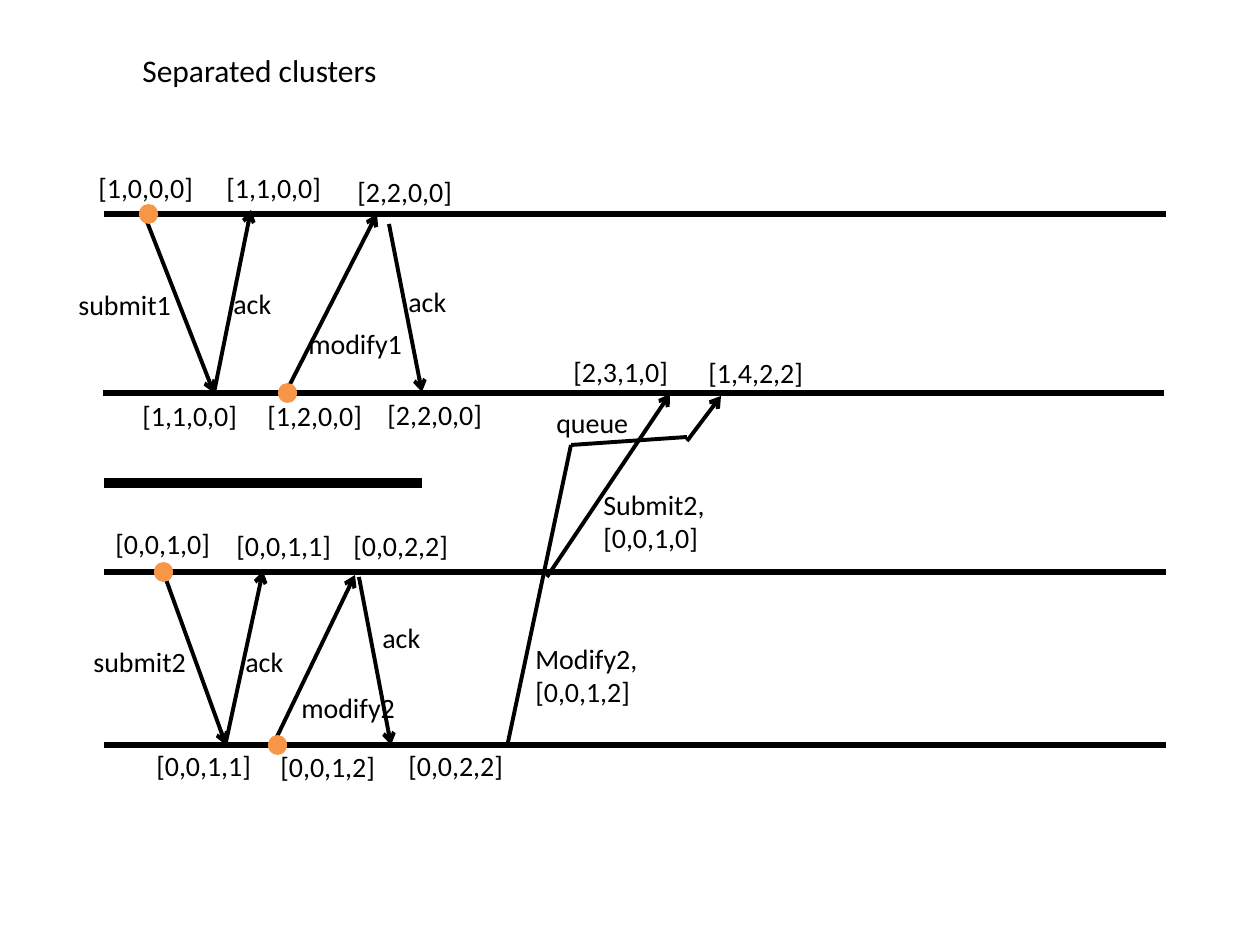
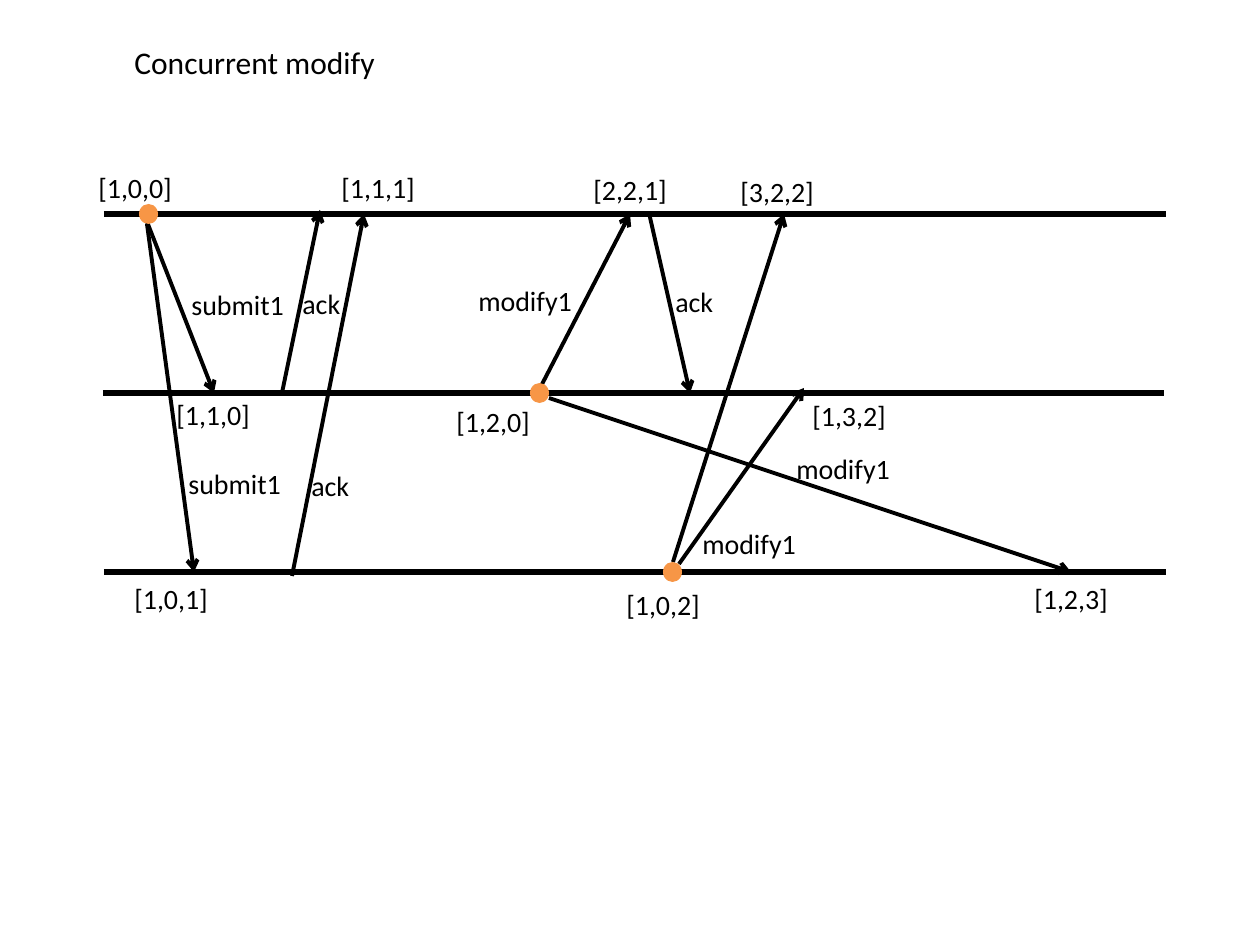
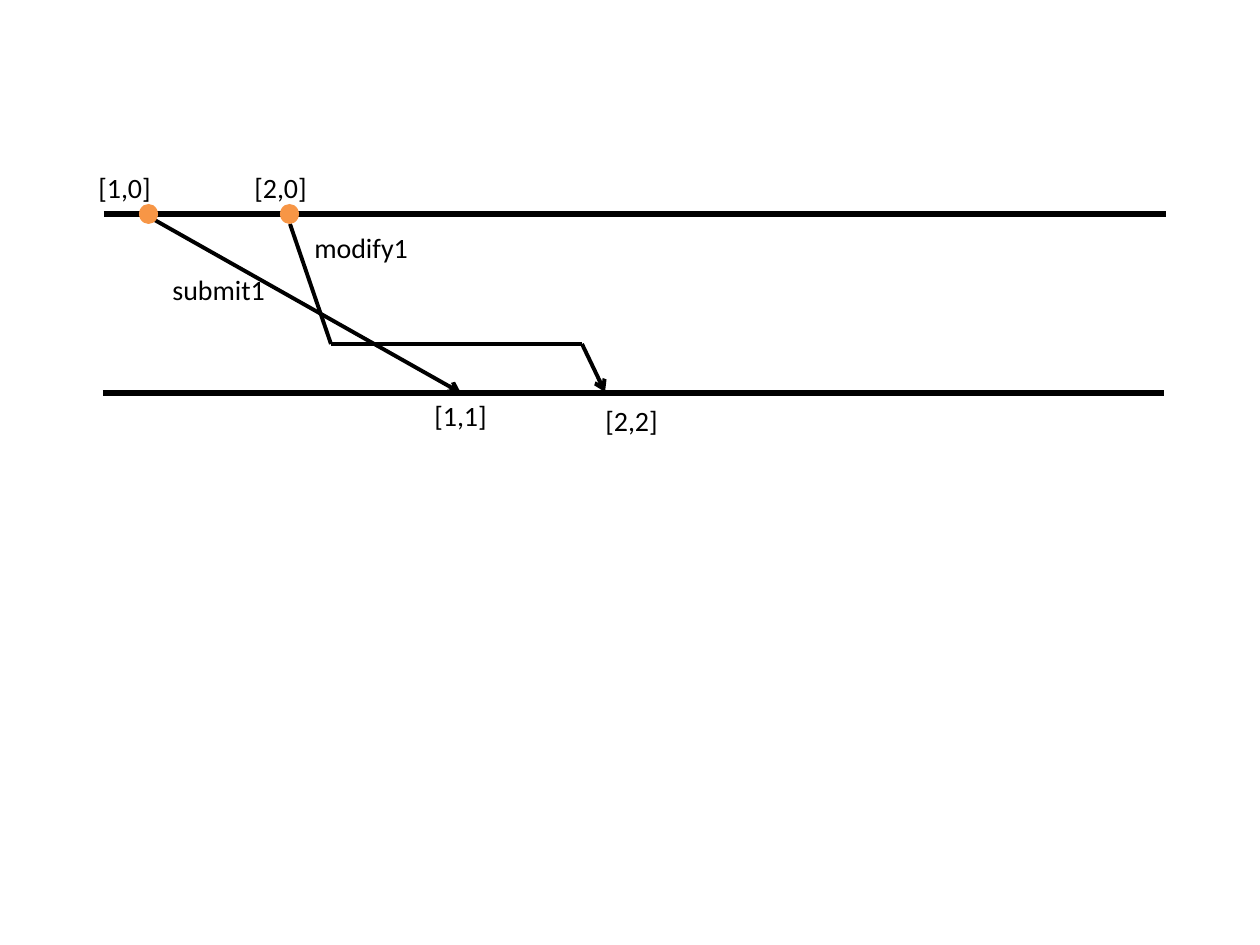
from dataclasses import dataclass

from lxml import etree
from pptx import Presentation
from pptx import util as u
from pptx.dml.color import RGBColor
from pptx.enum import shapes, text
from pptx.oxml.ns import qn

SCALE = 914400 / 126  # EMU in one pixel


@dataclass(frozen=True)
class Theme:
    font: str = "Calibri"
    ink: RGBColor = RGBColor(0x00, 0x00, 0x00)
    event: RGBColor = RGBColor(0xF7, 0x96, 0x46)
    title_size: float = 18
    label_size: float = 16
    lane_width: float = 3
    message_width: float = 2.25
    partition_width: float = 6


theme = Theme()

# Shared geometry: time lanes as left, right, height
LANES = [(104, 1166, 214), (103, 1164, 393), (104, 1166, 572), (104, 1166, 745)]
DOT_WIDTH, DOT_HEIGHT = 19, 20
CLOCK_WIDTH = 137
WORD_WIDTHS = {
    "ack": 129, "queue": 111, "submit1": 134, "submit2": 129,
    "modify1": 150, "modify2": 164,
    "Submit2,[0,0,1,0]": 129, "Modify2,\n[0,0,1,2]": 164,
}


def add_line(page, ends, width, arrow=False):
    line = page.shapes.add_connector(
        shapes.MSO_CONNECTOR.STRAIGHT, *[round(end * SCALE) for end in ends])
    line.line.color.rgb = theme.ink
    line.line.width = u.Pt(width)
    if arrow:
        etree.SubElement(line.line._get_or_add_ln(), qn("a:tailEnd"), type="arrow")
    etree.SubElement(line._element.spPr, qn("a:effectLst"))


def add_text(page, words, left, top, width, size):
    # About 2.1 pixels a point for each line, plus the insets
    height = 81 if len(words) > 12 and size == theme.label_size else 13 + 2.1 * size
    box = page.shapes.add_textbox(
        *[round(length * SCALE) for length in (left, top, width, height)])
    frame = box.text_frame
    frame.word_wrap = True
    frame.auto_size = text.MSO_AUTO_SIZE.SHAPE_TO_FIT_TEXT
    frame.text = words
    for para in frame.paragraphs:
        for span in para.runs:
            span.font.name = theme.font
            span.font.size = u.Pt(size)
            span.font.color.rgb = theme.ink


# Each diagram: messages and queue lines as x1, y1, x2, y2;
# events as left, lane; labels as words, left, top
DIAGRAMS = [
    {
        "title": ("Separated clusters", 130, 45, 455),
        "lanes": 4,
        "partition": (104, 483, 422, 483),
        "messages": [
            (144, 214, 214, 393), (214, 393, 251, 210),
            (286, 392, 377, 214), (389, 224, 422, 392),
            (163, 571, 226, 745), (226, 742, 263, 571),
            (273, 745, 355, 575), (359, 577, 391, 745),
            (547, 577, 670, 394), (687, 441, 721, 396),
        ],
        "queue": [(507, 747, 571, 445), (687, 437, 571, 445)],
        "events": [(139, 0), (278, 1), (154, 2), (268, 3)],
        "labels": [
            ("[1,0,0,0]", 86, 164), ("[1,1,0,0]", 214, 164), ("[2,2,0,0]", 345, 168),
            ("submit1", 66, 281), ("ack", 221, 280),
            ("modify1", 296, 320), ("ack", 396, 278),
            ("[1,1,0,0]", 130, 392), ("[1,2,0,0]", 255, 392), ("[2,2,0,0]", 375, 391),
            ("[2,3,1,0]", 561, 348), ("[1,4,2,2]", 696, 349),
            ("queue", 544, 399), ("Submit2,[0,0,1,0]", 591, 481),
            ("[0,0,1,0]", 103, 520), ("[0,0,1,1]", 224, 522), ("[0,0,2,2]", 341, 522),
            ("submit2", 81, 638), ("ack", 233, 638),
            ("modify2", 289, 684), ("ack", 370, 614),
            ("Modify2,\n[0,0,1,2]", 523, 635),
            ("[0,0,1,1]", 144, 742), ("[0,0,1,2]", 268, 743), ("[0,0,2,2]", 396, 742),
        ],
    },
    {
        "title": ("Concurrent modify", 122, 37, 484),
        "lanes": 3,
        "messages": [
            (144, 214, 214, 393), (147, 224, 194, 572),
            (282, 393, 320, 210), (292, 576, 364, 214),
            (538, 392, 630, 214), (549, 398, 1071, 572), (649, 213, 690, 393),
            (673, 562, 784, 214), (679, 564, 804, 388),
        ],
        "events": [(139, 0), (530, 1), (663, 2)],
        "labels": [
            ("[1,0,0]", 86, 164), ("[1,1,1]", 329, 164),
            ("[2,2,1]", 581, 166), ("[3,2,2]", 728, 168),
            ("submit1", 179, 281), ("ack", 290, 280),
            ("modify1", 466, 277), ("ack", 663, 278),
            ("[1,1,0]", 164, 391), ("[1,2,0]", 444, 398), ("[1,3,2]", 800, 392),
            ("submit1", 176, 460), ("ack", 299, 462),
            ("modify1", 784, 445), ("modify1", 690, 520),
            ("[1,0,1]", 122, 575), ("[1,0,2]", 614, 581), ("[1,2,3]", 1022, 575),
        ],
    },
    {
        "lanes": 2,
        "messages": [(144, 214, 461, 393), (582, 344, 605, 392)],
        "queue": [(290, 224, 331, 344), (331, 344, 582, 344)],
        "events": [(139, 0), (280, 0)],
        "labels": [
            ("[1,0]", 86, 164), ("[2,0]", 242, 164),
            ("modify1", 302, 224), ("submit1", 160, 266),
            ("[1,1]", 422, 392), ("[2,2]", 593, 397),
        ],
    },
]

deck = Presentation()
deck.slide_width, deck.slide_height = u.Inches(10), u.Inches(7.5)

for diagram in DIAGRAMS:
    page = deck.slides.add_slide(deck.slide_layouts[6])

    # Time lanes and the partition between clusters
    for left, right, height in LANES[:diagram["lanes"]]:
        add_line(page, (left, height, right, height), theme.lane_width)
    if "partition" in diagram:
        add_line(page, diagram["partition"], theme.partition_width)

    # Messages and the detours through the queue
    for ends in diagram["messages"]:
        add_line(page, ends, theme.message_width, arrow=True)
    for ends in diagram.get("queue", []):
        add_line(page, ends, theme.message_width)

    # Events, centred on their lanes
    for left, lane in diagram["events"]:
        top = LANES[lane][2] - DOT_HEIGHT / 2
        dot = page.shapes.add_shape(
            shapes.MSO_SHAPE.OVAL,
            *[round(length * SCALE) for length in (left, top, DOT_WIDTH, DOT_HEIGHT)])
        dot.shadow.inherit = False
        dot.fill.solid()
        dot.fill.fore_color.rgb = theme.event
        dot.line.fill.background()

    # Title, clocks and message names
    if "title" in diagram:
        add_text(page, *diagram["title"], theme.title_size)
    for words, left, top in diagram["labels"]:
        width = WORD_WIDTHS.get(words, CLOCK_WIDTH)
        add_text(page, words, left, top, width, theme.label_size)

deck.save("out.pptx")
